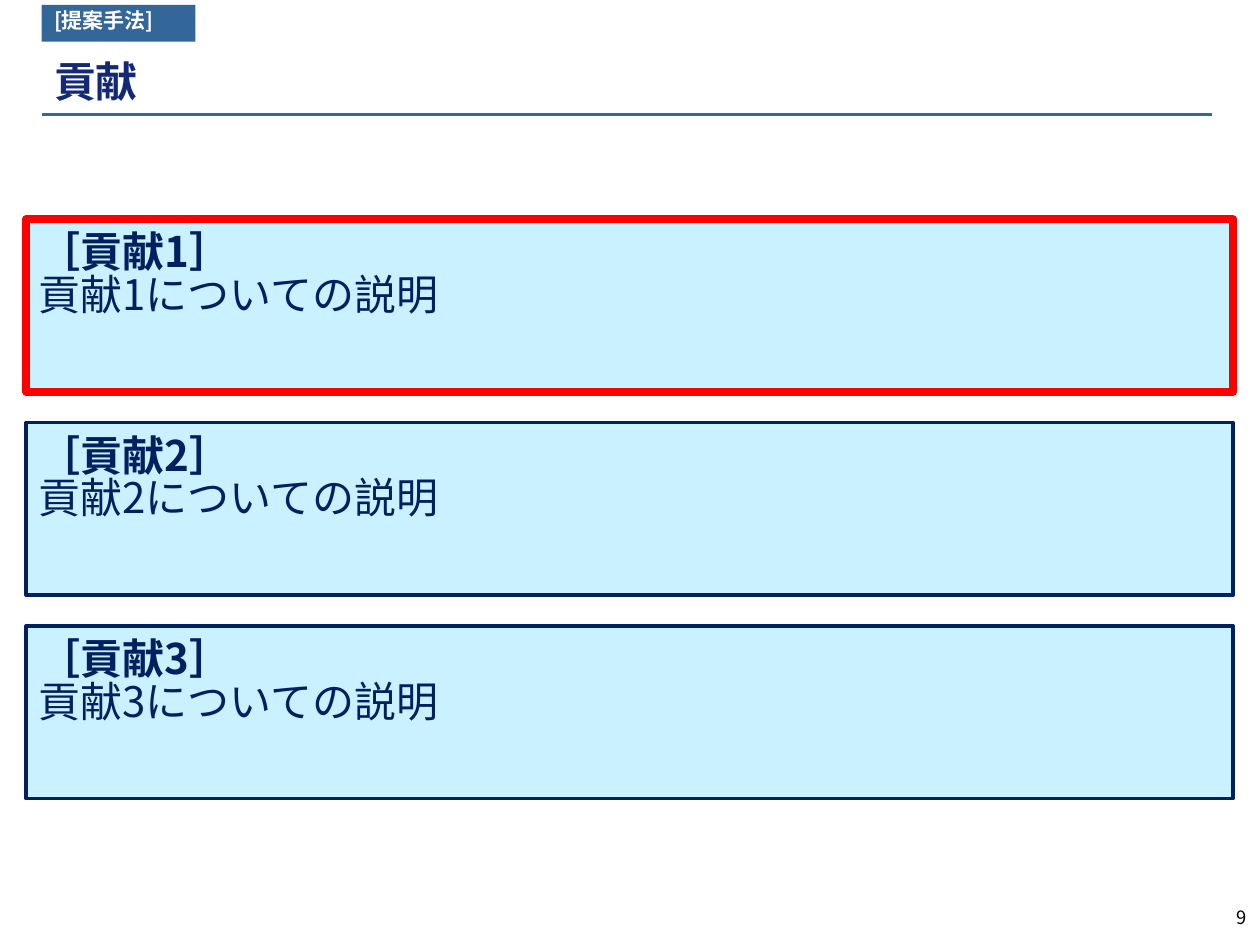
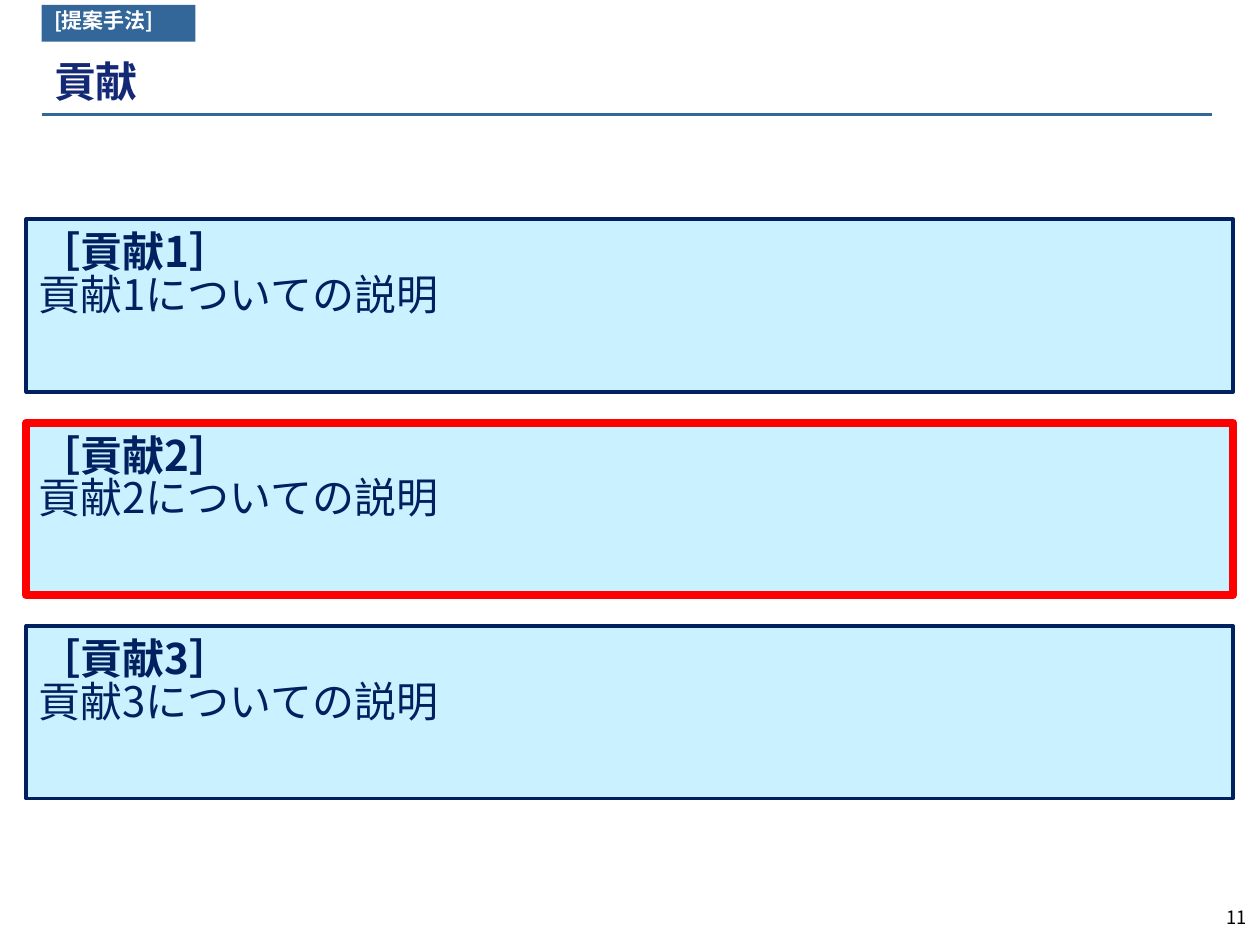
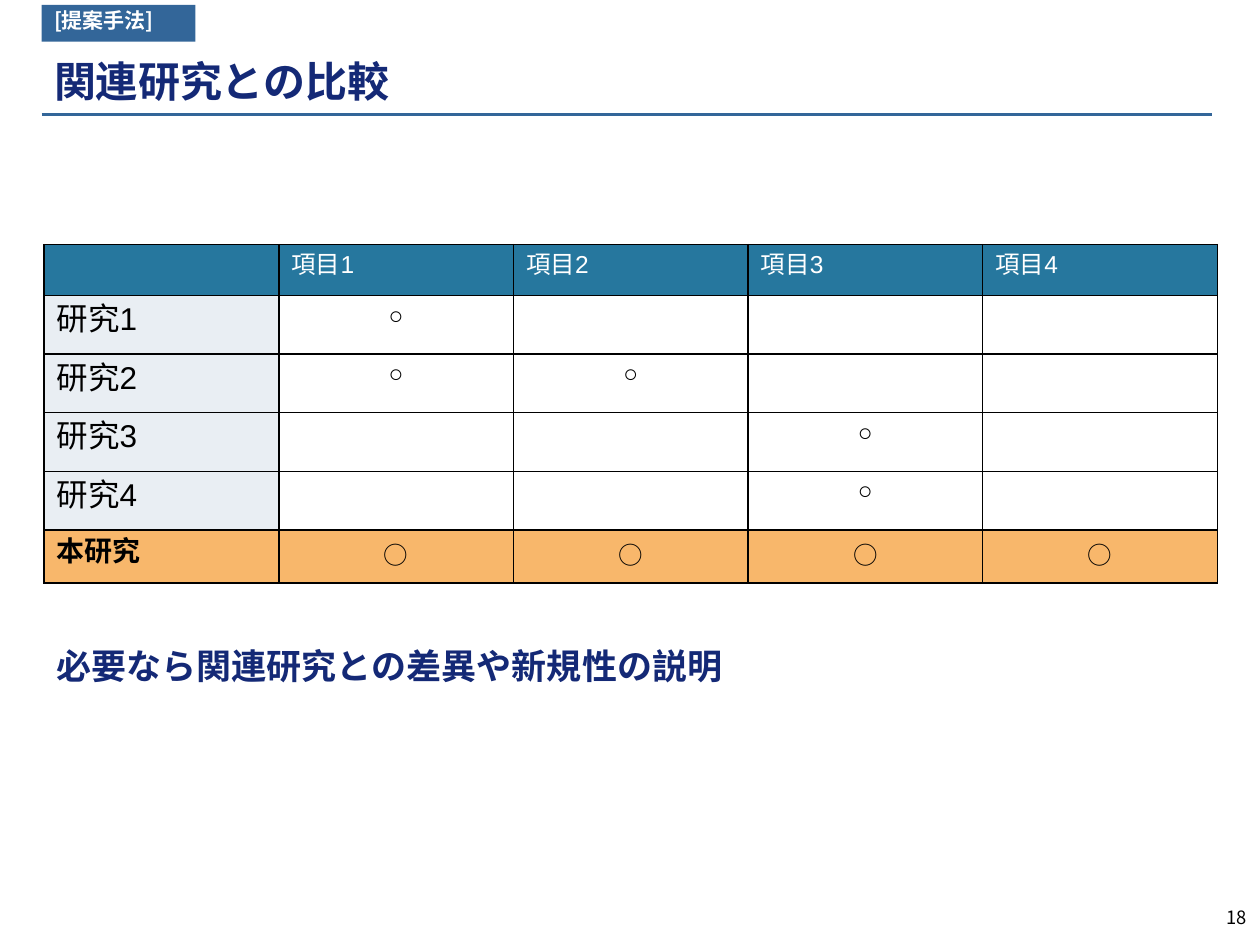
from lxml import etree
from pptx import Presentation, util as u
from pptx.dml import color
from pptx.enum import shapes, text
from pptx.oxml import ns

# Shared look
FONT = "Noto Sans CJK JP"
TABLE_FONT = "Arial"
WHITE, BLACK = "FFFFFF", "000000"
BAND, TITLE = "336699", "142976"
NAVY, RED, PALE_BLUE = "002060", "FF0000", "C9F1FF"
HEADER, ROW_LABEL, OWN_ROW = "26779E", "E9EEF3", "F8B76B"
SECTION = "[提案手法]"
LINE_SPACING = 0.84
LEFT = text.PP_ALIGN.LEFT
CENTER = text.PP_ALIGN.CENTER
RIGHT = text.PP_ALIGN.RIGHT


def rgb(value):
    return color.RGBColor.from_string(value)


def set_attributes(target, values):
    for name, value in values.items():
        setattr(target, name, value)


def add_run(paragraph, content, size, ink, bold=False, font=FONT):
    run = paragraph.add_run()
    run.text = content
    set_attributes(run.font, {"size": u.Pt(size), "bold": bold, "name": font})
    run.font.color.rgb = rgb(ink)
    east_asian = etree.SubElement(run._r.get_or_add_rPr(), ns.qn("a:ea"))
    east_asian.set("typeface", font)


def prepare_frame(shape, top=0.13, anchor=text.MSO_ANCHOR.TOP,
                  align=LEFT, spacing=LINE_SPACING):
    """Set up the text frame and return its first paragraph."""
    frame = shape.text_frame
    set_attributes(frame, {
        "word_wrap": True, "vertical_anchor": anchor,
        "margin_left": u.Cm(0.25), "margin_right": u.Cm(0.25),
        "margin_top": u.Cm(top), "margin_bottom": u.Cm(0.13),
    })
    paragraph = frame.paragraphs[0]
    set_attributes(paragraph, {"alignment": align, "line_spacing": spacing})
    return paragraph


def add_label(slide, box, content, size, ink, bold=False, **layout):
    shape = slide.shapes.add_textbox(*map(u.Cm, box))
    add_run(prepare_frame(shape, **layout), content, size, ink, bold)


def add_box(slide, box, fill, outline=None, width=0):
    shape = slide.shapes.add_shape(shapes.MSO_SHAPE.RECTANGLE, *map(u.Cm, box))
    shape.shadow.inherit = False
    shape.fill.solid()
    shape.fill.fore_color.rgb = rgb(fill)
    if outline:
        shape.line.color.rgb = rgb(outline)
        shape.line.width = u.Pt(width)
    else:
        shape.line.fill.background()
    return shape


# Parts of every slide
def add_base_slide(presentation, title, number):
    slide = presentation.slides.add_slide(presentation.slide_layouts[6])
    rule = slide.shapes.add_connector(
        shapes.MSO_CONNECTOR.STRAIGHT, *map(u.Cm, (0.84, 2.31, 24.43, 2.31)))
    rule.line.color.rgb = rgb(BAND)
    rule.line.width = u.Pt(1.5)
    etree.SubElement(rule._element.spPr, ns.qn("a:effectLst"))
    add_label(slide, (0.84, 1.07, 21.59, 1.27), title, 24, TITLE, True,
              anchor=text.MSO_ANCHOR.MIDDLE)
    add_label(slide, (23.7, 18.21, 1.68, 0.84), str(number), 10.5, BLACK,
              align=RIGHT)
    tag = add_box(slide, (0.84, 0.1, 3.1, 0.74), BAND)
    add_run(prepare_frame(tag), SECTION, 12, WHITE, True)
    return slide


# Contribution boxes, one of them highlighted
def add_contributions(slide, highlighted):
    for index in range(1, 4):
        outline, width = (RED, 4.5) if index == highlighted else (NAVY, 2)
        top = 4.42 + 4.1 * (index - 1)
        shape = add_box(slide, (0.53, top, 24.33, 3.48), PALE_BLUE,
                        outline, width)
        paragraph = prepare_frame(shape, top=0.3)
        add_run(paragraph, f"［貢献{index}］", 24, NAVY, True)
        paragraph.add_line_break()
        add_run(paragraph, f"貢献{index}についての説明", 24, NAVY)


# Comparison table
def format_cell(cell, fill):
    properties = cell._tc.get_or_add_tcPr()
    for side in ("a:lnL", "a:lnR", "a:lnT", "a:lnB"):
        border = etree.SubElement(properties, ns.qn(side), w=str(u.Pt(1)))
        solid = etree.SubElement(border, ns.qn("a:solidFill"))
        etree.SubElement(solid, ns.qn("a:srgbClr"), val=BLACK)
    cell.fill.solid()
    cell.fill.fore_color.rgb = rgb(fill)


def write_cell(cell, content, size, ink=BLACK, bold=False,
               font=TABLE_FONT, align=LEFT):
    paragraph = cell.text_frame.paragraphs[0]
    paragraph.alignment = align
    add_run(paragraph, content, size, ink, bold, font)


def add_comparison(slide):
    studies = [("研究1", {1}), ("研究2", {1, 2}), ("研究3", {3}),
               ("研究4", {3}), ("本研究", {1, 2, 3, 4})]
    heights = [1.03] + [1.18] * 4 + [1.07]
    table = slide.shapes.add_table(
        6, 5, *map(u.Cm, (0.89, 4.93, 23.65, sum(heights)))).table
    for column in table.columns:
        column.width = u.Cm(4.73)
    for row, height in zip(table.rows, heights):
        row.height = u.Cm(height)

    for column in range(5):
        cell = table.cell(0, column)
        format_cell(cell, HEADER)
        if column:
            write_cell(cell, f"項目{column}", 14, WHITE)

    for row, (name, covered) in enumerate(studies, 1):
        own = name == "本研究"
        label = table.cell(row, 0)
        format_cell(label, OWN_ROW if own else ROW_LABEL)
        write_cell(label, name, 16 if own else 18, bold=own)
        for column in range(1, 5):
            cell = table.cell(row, column)
            format_cell(cell, OWN_ROW if own else WHITE)
            if column in covered:
                write_cell(cell, "○", 14, bold=not own, align=CENTER,
                           font=FONT if own else TABLE_FONT)


def main():
    presentation = Presentation()
    set_attributes(presentation, {"slide_width": u.Cm(25.4),
                                  "slide_height": u.Cm(19.05)})

    for number, highlighted in ((9, 1), (11, 2)):
        slide = add_base_slide(presentation, "貢献", number)
        add_contributions(slide, highlighted)

    slide = add_base_slide(presentation, "関連研究との比較", 18)
    add_comparison(slide)
    add_label(slide, (0.89, 13, 23.7, 1.12),
              "必要なら関連研究との差異や新規性の説明", 20, TITLE, True)

    presentation.save("out.pptx")


if __name__ == "__main__":
    main()
